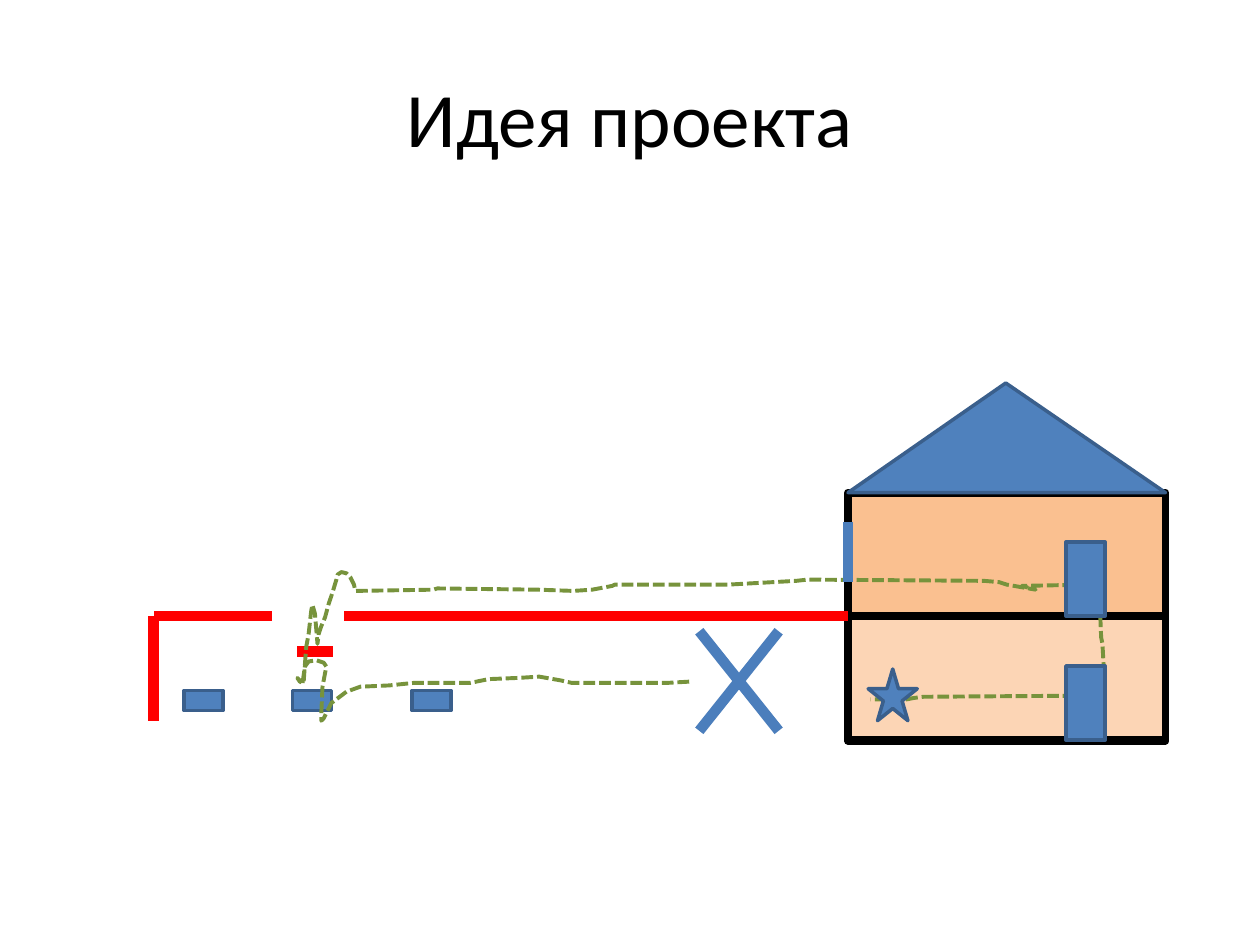
from pptx import Presentation
from pptx.dml.color import RGBColor
from pptx.enum.dml import MSO_LINE
from pptx.enum.shapes import MSO_CONNECTOR, MSO_SHAPE
from pptx.enum.text import MSO_ANCHOR, PP_ALIGN
from pptx.oxml.ns import qn
from pptx.util import Pt
from lxml import etree

RECTANGLE = MSO_SHAPE.RECTANGLE
TRIANGLE = MSO_SHAPE.ISOSCELES_TRIANGLE
STAR = MSO_SHAPE.STAR_5_POINT
STRAIGHT = MSO_CONNECTOR.STRAIGHT
ROUTE_DASH = MSO_LINE.SQUARE_DOT

# The slide is a grid of 1000 columns by 750 rows; one cell is 0.01 inch
CELL = 9144
COLUMNS, ROWS = 1000, 750
TITLE_LAYOUT = 5

BLUE, BLUE_EDGE, BLUE_STROKE = "4F81BD", "3A5F8C", "4B7EBC"
RED, GREEN, BLACK, WHITE = "FF0000", "77933C", "000000", "FFFFFF"
UPPER_WALL, LOWER_WALL = "FAC090", "FCD5B5"
TITLE_FORMAT = {"name": "Calibri", "size": Pt(44)}

# House and fence
HOUSE_LEFT, HOUSE_TOP, HOUSE_WIDTH = 673, 391, 252
FLOOR_HEIGHT = 98.5
FLOOR_LINE = 489
ROOF_HEIGHT = 87
DOOR_LEFT, DOOR_WIDTH, DOOR_HEIGHT = 846, 31, 59
FENCE_LEFT, FENCE_BOTTOM = 122, 572
BOX_LEFTS, BOX_TOP = (146, 232, 327), 548

# Walking route, from the cross through the gap to the star
ROUTE = [
    (547, 541), (529, 542), (454, 542), (445, 540), (428, 537), (412, 538),
    (388, 539), (373, 542), (328, 542), (309, 544), (286, 545), (275, 549),
    (263, 558), (257, 570), (255, 572), (255, 567), (256, 545), (259, 529),
    (257, 526), (251, 524), (245, 525), (242, 529), (240, 543), (239, 541),
    (236, 538), (238, 541), (241, 542), (243, 514), (245, 503), (247, 485),
    (248, 480), (250, 487), (252, 511), (253, 503), (255, 497), (258, 490),
    (261, 479), (264, 470), (267, 460), (268, 456), (271, 454), (275, 455),
    (278, 458), (281, 464), (282, 469), (344, 468), (347, 467), (427, 468),
    (455, 469), (470, 468), (486, 465), (488, 464), (578, 464), (632, 461),
    (641, 460), (781, 461), (793, 462), (799, 464), (822, 468), (811, 465),
    (864, 464), (869, 465), (871, 477), (873, 482), (874, 506), (875, 511),
    (877, 547), (876, 552), (733, 553), (725, 554), (720, 555), (691, 555),
]


def color(value):
    return RGBColor.from_string(value)


def cells(*counts):
    return [round(count * CELL) for count in counts]


def set_line(item, value, width):
    item.line.color.rgb = color(value)
    item.line.width = Pt(width)


def add_figure(slide, kind, box, fill=BLUE, edge=BLUE_EDGE, width=2):
    shape = slide.shapes.add_shape(kind, *cells(*box))
    shape.shadow.inherit = False
    shape.fill.solid()
    shape.fill.fore_color.rgb = color(fill)
    set_line(shape, edge, width)
    return shape


def add_stroke(slide, start, end, value):
    connector = slide.shapes.add_connector(STRAIGHT, *cells(*start, *end))
    set_line(connector, value, 6)
    etree.SubElement(connector._element.spPr, qn("a:effectLst"))


def add_route(slide, points):
    builder = slide.shapes.build_freeform(*points[0], scale=CELL)
    builder.add_line_segments(points[1:], close=False)
    shape = builder.convert_to_shape()
    shape.shadow.inherit = False
    shape.fill.background()
    set_line(shape, GREEN, 2.25)
    shape.line.dash_style = ROUTE_DASH


def add_title(slide, text):
    title = slide.shapes.title
    title.left, title.top, title.width, title.height = cells(50, 30, 900, 125)
    title.text_frame.text = text
    title.text_frame.vertical_anchor = MSO_ANCHOR.MIDDLE
    paragraph = title.text_frame.paragraphs[0]
    paragraph.alignment = PP_ALIGN.CENTER
    font = paragraph.runs[0].font
    for name, value in TITLE_FORMAT.items():
        setattr(font, name, value)
    font.color.rgb = color(BLACK)


def add_house(slide):
    walls = ((HOUSE_TOP, 2 * FLOOR_HEIGHT, UPPER_WALL),
             (FLOOR_LINE, FLOOR_HEIGHT, LOWER_WALL))
    for top, height, fill in walls:
        box = (HOUSE_LEFT, top, HOUSE_WIDTH, height)
        add_figure(slide, RECTANGLE, box, fill, BLACK, 4.5)
    roof_box = (HOUSE_LEFT, HOUSE_TOP - ROOF_HEIGHT, HOUSE_WIDTH, ROOF_HEIGHT)
    roof = add_figure(slide, TRIANGLE, roof_box)
    roof.adjustments[0] = 0.497


def add_yard(slide):
    # Cross
    add_stroke(slide, (555, 501), (618, 580), BLUE_STROKE)
    add_stroke(slide, (618, 501), (555, 580), BLUE_STROKE)
    # Fence with a gap
    corner = (FENCE_LEFT, FLOOR_LINE)
    add_stroke(slide, (HOUSE_LEFT, FLOOR_LINE), corner, RED)
    add_stroke(slide, corner, (FENCE_LEFT, FENCE_BOTTOM), RED)
    add_figure(slide, RECTANGLE, (217, 462, 55, 55), WHITE, WHITE)
    # Boxes and the barrier above the middle one
    for left in BOX_LEFTS:
        add_figure(slide, RECTANGLE, (left, BOX_TOP, 31, 16))
    add_stroke(slide, (236, 517), (264, 517), RED)


def add_furnishings(slide):
    add_figure(slide, STAR, (689, 531, 39, 41))
    for floor in range(2):
        top = FLOOR_LINE - DOOR_HEIGHT + floor * FLOOR_HEIGHT
        add_figure(slide, RECTANGLE, (DOOR_LEFT, top, DOOR_WIDTH, DOOR_HEIGHT))
    # Window
    add_stroke(slide, (HOUSE_LEFT, 414), (HOUSE_LEFT, 462), BLUE_STROKE)


def main():
    presentation = Presentation()
    presentation.slide_width, presentation.slide_height = cells(COLUMNS, ROWS)
    layout = presentation.slide_layouts[TITLE_LAYOUT]
    slide = presentation.slides.add_slide(layout)
    add_title(slide, "Идея проекта")
    add_house(slide)
    add_yard(slide)
    add_route(slide, ROUTE)
    add_furnishings(slide)
    presentation.save("out.pptx")


if __name__ == "__main__":
    main()
